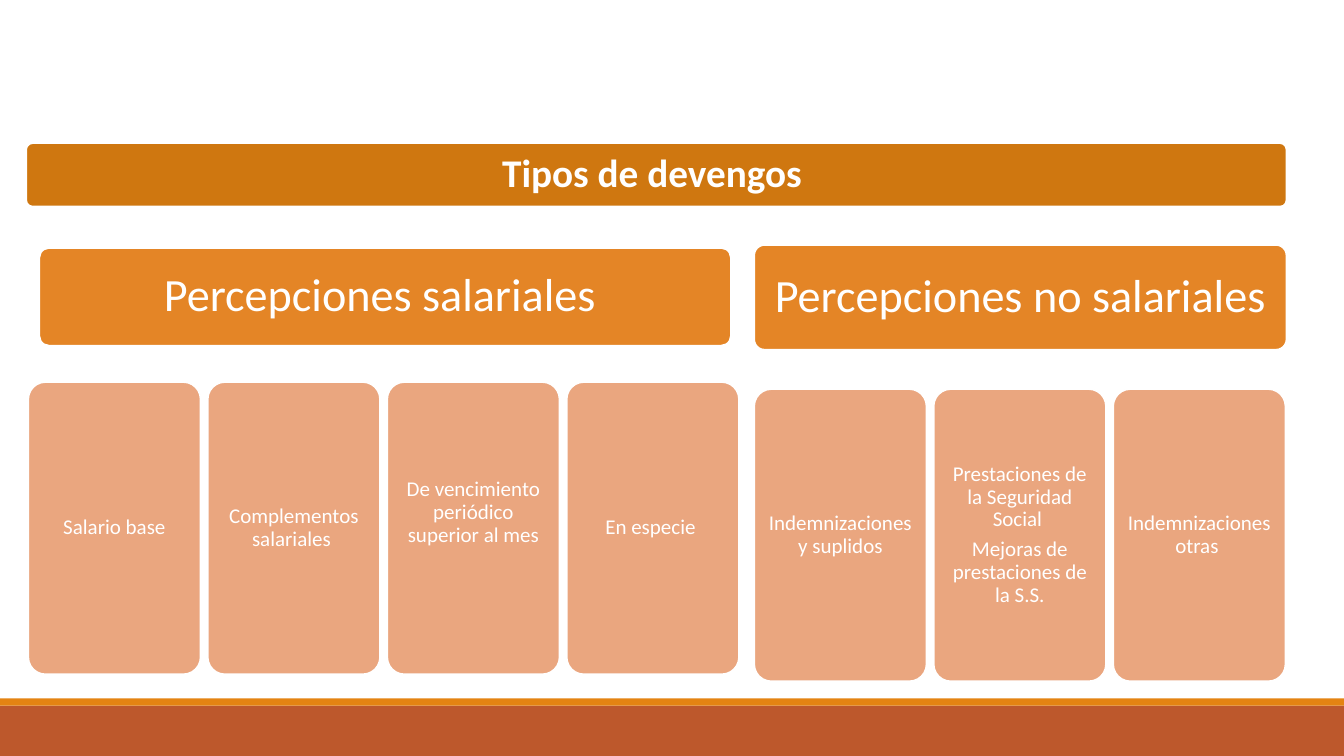
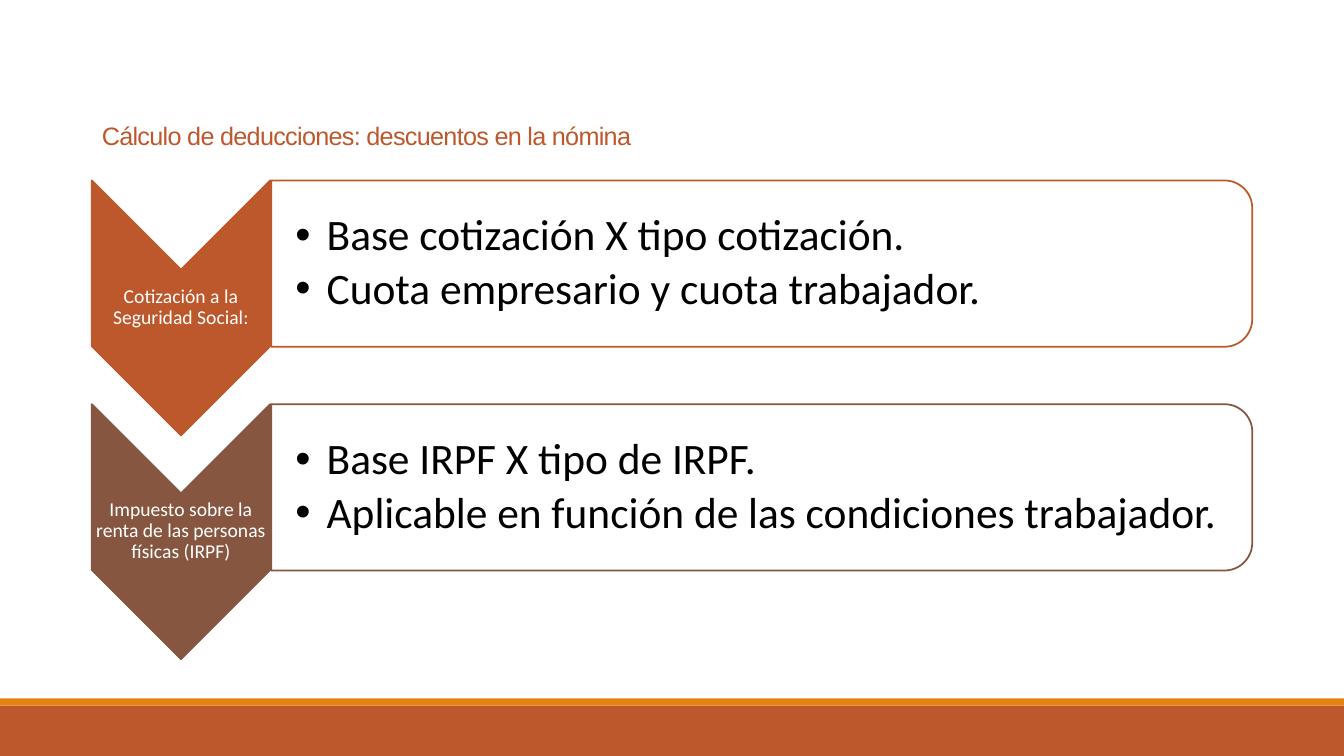
from pptx import Presentation
from pptx.dml.color import RGBColor
from pptx.enum.shapes import MSO_SHAPE
from pptx.enum.text import MSO_ANCHOR, MSO_AUTO_SIZE, PP_ALIGN
from pptx.util import Inches, Pt
from lxml.etree import SubElement
from pptx.oxml.ns import qn

COLORS = {
    "rust": "BD582C", "orange": "E48312", "header": "CF7710", "group": "E48526",
    "card": "EAA67F", "brown": "865640", "white": "FFFFFF", "black": "000000",
}


def draw(slide, kind, box, fill, line=None):
    shape = slide.shapes.add_shape(kind, *[Inches(v) for v in box])
    shape.shadow.inherit = False
    shape.fill.solid()
    shape.fill.fore_color.rgb = RGBColor.from_string(COLORS[fill])
    if line:
        shape.line.color.rgb = RGBColor.from_string(COLORS[line])
        shape.line.width = Pt(1.25)
    else:
        shape.line.fill.background()
    return shape


def write(frame, texts, size, margins, color="white", font="Calibri", bold=False,
          align=PP_ALIGN.CENTER, anchor=MSO_ANCHOR.MIDDLE, leading=0.9, gap=0.35):
    left, top, right, bottom = [Inches(v) for v in margins]
    frame_format = {
        "word_wrap": True, "auto_size": MSO_AUTO_SIZE.NONE, "vertical_anchor": anchor,
        "margin_left": left, "margin_top": top,
        "margin_right": right, "margin_bottom": bottom,
    }
    paragraph_format = {
        "alignment": align, "line_spacing": leading,
        "space_before": Pt(0), "space_after": Pt(round(size * gap, 2)),
    }
    font_format = {"name": font, "size": Pt(size), "bold": bold}
    for name, value in frame_format.items():
        setattr(frame, name, value)
    for index, text in enumerate(texts):
        paragraph = frame.add_paragraph() if index else frame.paragraphs[0]
        for name, value in paragraph_format.items():
            setattr(paragraph, name, value)
        run = paragraph.add_run()
        run.text = text
        for name, value in font_format.items():
            setattr(run.font, name, value)
        run.font.color.rgb = RGBColor.from_string(COLORS[color])


prs = Presentation()
prs.slide_width, prs.slide_height = Inches(13.33), Inches(7.5)
earnings = prs.slides.add_slide(prs.slide_layouts[6])
deductions = prs.slides.add_slide(prs.slide_layouts[3])

# Footer bands, moved to the master so that every slide shows them
for number, (top, height, fill) in enumerate([(7, 0.5, "rust"), (6.93, 0.07, "orange")]):
    band = draw(earnings, MSO_SHAPE.RECTANGLE, (0, top, 13.33, height), fill)
    band.element.xpath(".//p:cNvPr")[0].set("id", str(100 + number))
    prs.slide_master.shapes.element.insert(2 + number, band.element)

# Slide 1: tree of earnings: box, fill, texts, size, bold, margins
CARD_WIDTH, CARD_HEIGHT, CARD_PITCH = 1.71, 2.9, 1.78
nodes = [
    ((0.26, 1.42, 12.5, 0.63), "header", ["Tipos de devengos "], 28, True, [0.12] * 4),
    ((0.39, 2.46, 6.86, 0.97), "group", ["Percepciones salariales "], 33, False, [0.14] * 4),
    ((7.48, 2.43, 5.28, 1.04), "group", ["Percepciones no salariales "], 33, False, [0.14] * 4),
]
card_groups = [
    (0.28, 3.79, [["Salario base"], ["Complementos salariales "],
                  ["De vencimiento periódico superior al mes"], ["En especie "]]),
    (7.48, 3.86, [["Indemnizaciones y suplidos"],
                  ["Prestaciones de la Seguridad Social ",
                   "Mejoras de prestaciones de la S.S."],
                  ["Indemnizaciones otras "]]),
]
for left, top, cards in card_groups:
    for column, texts in enumerate(cards):
        # The maturity card's text sits slightly above the middle
        bottom = 0.37 if texts[0].startswith("De vencimiento") else 0.06
        box = (left + column * CARD_PITCH, top, CARD_WIDTH, CARD_HEIGHT)
        nodes.append((box, "card", texts, 15, False, [0.06, 0.06, 0.06, bottom]))
for box, fill, texts, size, bold, margins in nodes:
    node = draw(earnings, MSO_SHAPE.ROUNDED_RECTANGLE, box, fill, "white")
    node.adjustments[0] = 0.1
    write(node.text_frame, texts, size, margins, bold=bold)

# Slide 2: title
title, *lists = deductions.placeholders
title.left, title.top, title.width, title.height = [Inches(v) for v in (0.91, 0.39, 10.86, 1.15)]
write(title.text_frame, ["Cálculo de deducciones: descuentos en la nómina"], 18,
      (0.1, 0.05, 0.1, 0.05), "rust", "Arial", align=PP_ALIGN.LEFT,
      anchor=MSO_ANCHOR.BOTTOM, leading=0.85, gap=0)
title.text_frame.paragraphs[0].runs[0].font._element.set("spc", "-50")

# Slide 2: one chevron and one list panel for each deduction
ROW_PITCH = 2.22
rows = [
    ("rust", "Cotización a la Seguridad Social:",
     ["Base cotización X tipo cotización.", "Cuota empresario y cuota trabajador."]),
    ("brown", "Impuesto sobre la renta de las personas físicas (IRPF)",
     ["Base IRPF X tipo de IRPF.", "Aplicable en función de las condiciones trabajador."]),
]
for row, (color, deduction, points) in enumerate(rows):
    shift = row * ROW_PITCH
    chevron = draw(deductions, MSO_SHAPE.CHEVRON, (0.53, 2.17 + shift, 2.53, 1.77), color, color)
    panel = draw(deductions, MSO_SHAPE.ROUND_2_SAME_RECTANGLE,
                 (6.73, -2.25 + shift, 1.65, 9.73), "white", color)
    chevron.rotation = panel.rotation = 90

    label = deductions.shapes.add_textbox(
        *[Inches(v) for v in (0.91, 2.67 + shift, 1.77, 0.76)])
    write(label.text_frame, [deduction], 14, [0.01] * 4)

    # Bring the list in front of its panel
    details = lists[row]
    deductions.shapes.element.append(details.element)
    details.left, details.top, details.width, details.height = [
        Inches(v) for v in (2.69, 1.87 + shift, 9.65, 1.49)]
    write(details.text_frame, points, 31, (0.24, 0.02, 0.02, 0.02), "black",
          align=PP_ALIGN.LEFT, gap=0.15)
    for paragraph in details.text_frame.paragraphs:
        properties = paragraph._p.get_or_add_pPr()
        properties.set("marL", str(Inches(0.31)))
        properties.set("indent", str(-Inches(0.31)))
        SubElement(properties, qn("a:buFont")).set("typeface", "Arial")
        SubElement(properties, qn("a:buChar")).set("char", "•")

prs.save("out.pptx")
